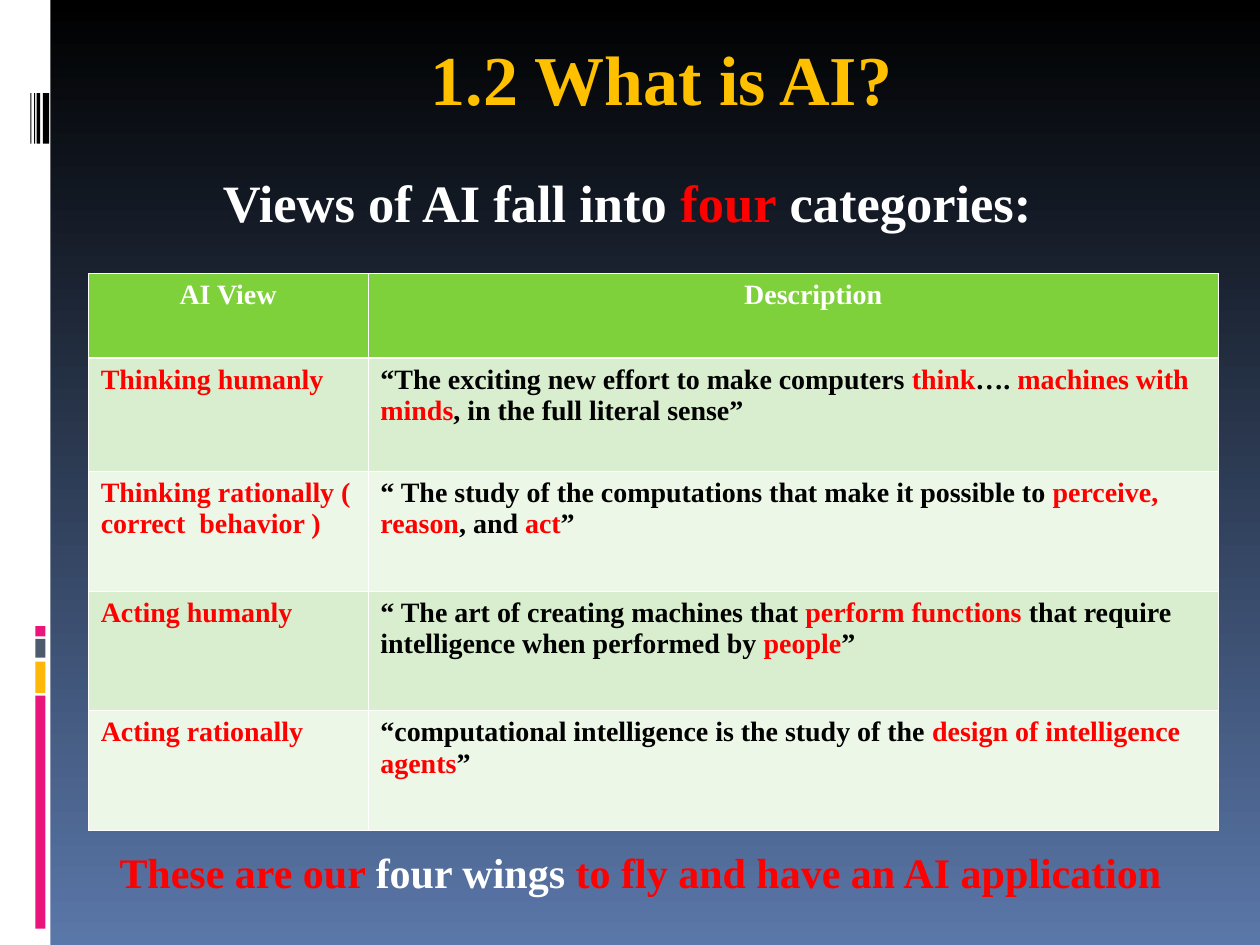
from lxml import etree
from pptx import Presentation
from pptx import util as u
from pptx.dml.color import RGBColor
from pptx.enum import shapes, text
from pptx.oxml import ns

Inches = u.Inches
WHITE = RGBColor(0xFF, 0xFF, 0xFF)
BLACK = RGBColor(0, 0, 0)
NIGHT_BLUE = RGBColor(0x5A, 0x77, 0xA9)
PINK = RGBColor(0xEA, 0x15, 0x7A)
AMBER = RGBColor(0xFE, 0xB8, 0x0A)
SLATE = RGBColor(0x4E, 0x5B, 0x6F)
GOLD = RGBColor(0xFF, 0xC0, 0x00)
RED = RGBColor(0xFF, 0, 0)
GREEN = RGBColor(0x7F, 0xD1, 0x3B)
BAND_FILLS = [RGBColor(0xD8, 0xEE, 0xCE), RGBColor(0xEC, 0xF7, 0xE8)]

FONT = "Times New Roman"
THIN, THICK = 0.45, 1.47
COLUMN_WIDTHS = [2.22, 6.75]
ROW_HEIGHTS = [0.67, 0.9, 0.95, 0.95, 0.95]
HEADINGS = ["AI View", "Description"]
VIEWS = [
    ("Thinking humanly", [
        ("“The exciting new effort to make computers ", BLACK), ("think", RED),
        ("…. ", BLACK), ("machines with minds", RED),
        (", in the full literal sense”", BLACK)]),
    ("Thinking rationally ( correct  behavior )", [
        ("“ The study of the computations that make it possible to ", BLACK),
        ("perceive, reason", RED), (", and ", BLACK), ("act", RED), ("”", BLACK)]),
    ("Acting humanly", [
        ("“ The art of creating machines that ", BLACK), ("perform functions ", RED),
        ("that require intelligence when performed by ", BLACK),
        ("people", RED), ("”", BLACK)]),
    ("Acting rationally", [
        ("“computational intelligence is the study of the ", BLACK),
        ("design of intelligence agents", RED), ("”", BLACK)]),
]


def add_runs(paragraph, parts, size):
    for words, color in parts:
        run = paragraph.add_run()
        run.text = words
        run.font.name = FONT
        run.font.size = u.Pt(size)
        run.font.bold = True
        run.font.color.rgb = color


def add_block(slide, left, top, width, height, color):
    block = slide.shapes.add_shape(
        shapes.MSO_SHAPE.RECTANGLE,
        Inches(left), Inches(top), Inches(width), Inches(height))
    block.shadow.inherit = False
    block.fill.solid()
    block.fill.fore_color.rgb = color
    block.line.fill.background()


def add_line_of_text(slide, box, parts, size, align=text.PP_ALIGN.LEFT,
                     inset_left=0.1, inset_top=0.05):
    frame = slide.shapes.add_textbox(*map(Inches, box)).text_frame
    frame.word_wrap = True
    frame.margin_left = Inches(inset_left)
    frame.margin_top = Inches(inset_top)
    frame.paragraphs[0].alignment = align
    add_runs(frame.paragraphs[0], parts, size)


def paint_background(slide):
    fill = slide.background.fill
    fill.gradient()
    fill.gradient_angle = 270
    for stop, position, color in zip(fill.gradient_stops, (0, 1), (BLACK, NIGHT_BLUE)):
        stop.position = position
        stop.color.rgb = color


def add_side_strip(slide, box):
    left, top, width, height = box
    add_block(slide, left, top, width, height, WHITE)
    for offset, length, color in [(5.52, 1.85, PINK), (5.25, 0.25, AMBER),
                                  (5.07, 0.15, SLATE), (4.97, 0.08, PINK)]:
        add_block(slide, left + 0.28, top + offset, 0.08, length, color)
    for offset, thickness in [(0.34, 0.05), (0.29, 0.03), (0.27, 0.01), (0.24, 0.01)]:
        add_block(slide, left + offset, top + 0.74, thickness, 0.4, BLACK)


def add_title(slide, box):
    add_line_of_text(slide, box, [("1.2 What is AI?", GOLD)], 40,
                     text.PP_ALIGN.CENTER, inset_top=0.11)


def add_lead(slide, box):
    parts = [("Views of AI fall into ", WHITE), ("four", RED), (" categories:", WHITE)]
    add_line_of_text(slide, box, parts, 30, inset_left=1.1, inset_top=0.1)


def set_borders(cell, top, bottom):
    properties = cell._tc.get_or_add_tcPr()
    for side, points in [("L", THIN), ("R", THIN), ("T", top), ("B", bottom)]:
        line = etree.SubElement(properties, ns.qn(f"a:ln{side}"), w=str(u.Pt(points)))
        fill = etree.SubElement(line, ns.qn("a:solidFill"))
        etree.SubElement(fill, ns.qn("a:srgbClr"), val=str(WHITE))


def fill_cell(cell, parts, color, align, top, bottom):
    set_borders(cell, top, bottom)
    cell.fill.solid()
    cell.fill.fore_color.rgb = color
    paragraph = cell.text_frame.paragraphs[0]
    paragraph.alignment = align
    add_runs(paragraph, parts, 16)


def add_views_table(slide, box):
    table = slide.shapes.add_table(
        len(ROW_HEIGHTS), len(COLUMN_WIDTHS), *map(Inches, box)).table
    table.first_row = table.horz_banding = False
    for column, width in zip(table.columns, COLUMN_WIDTHS):
        column.width = Inches(width)
    for row, height in zip(table.rows, ROW_HEIGHTS):
        row.height = Inches(height)
    for column, heading in enumerate(HEADINGS):
        fill_cell(table.cell(0, column), [(heading, WHITE)], GREEN,
                  text.PP_ALIGN.CENTER, THIN, THICK)
    table.cell(0, 1).margin_left = Inches(0.42)
    for row, (view, description) in enumerate(VIEWS, start=1):
        top = THICK if row == 1 else THIN
        for column, parts in enumerate([[(view, RED)], description]):
            fill_cell(table.cell(row, column), parts, BAND_FILLS[(row - 1) % 2],
                      text.PP_ALIGN.LEFT, top, THIN)


def add_closing(slide, box):
    parts = [("These are our ", RED), ("four wings ", WHITE),
             ("to fly and have an AI application", RED)]
    add_line_of_text(slide, box, parts, 24)


def main():
    deck = Presentation()
    deck.slide_width, deck.slide_height = Inches(10), Inches(7.5)
    slide = deck.slides.add_slide(deck.slide_layouts[6])
    paint_background(slide)
    add_side_strip(slide, (0, 0, 0.4, 7.5))
    add_title(slide, (1, 0.17, 8.5, 1))
    add_lead(slide, (0.67, 1.25, 8.67, 5.67))
    add_views_table(slide, (0.7, 2.17, sum(COLUMN_WIDTHS), sum(ROW_HEIGHTS)))
    add_closing(slide, (0.85, 6.67, 9.15, 0.5))
    deck.save("out.pptx")


if __name__ == "__main__":
    main()
